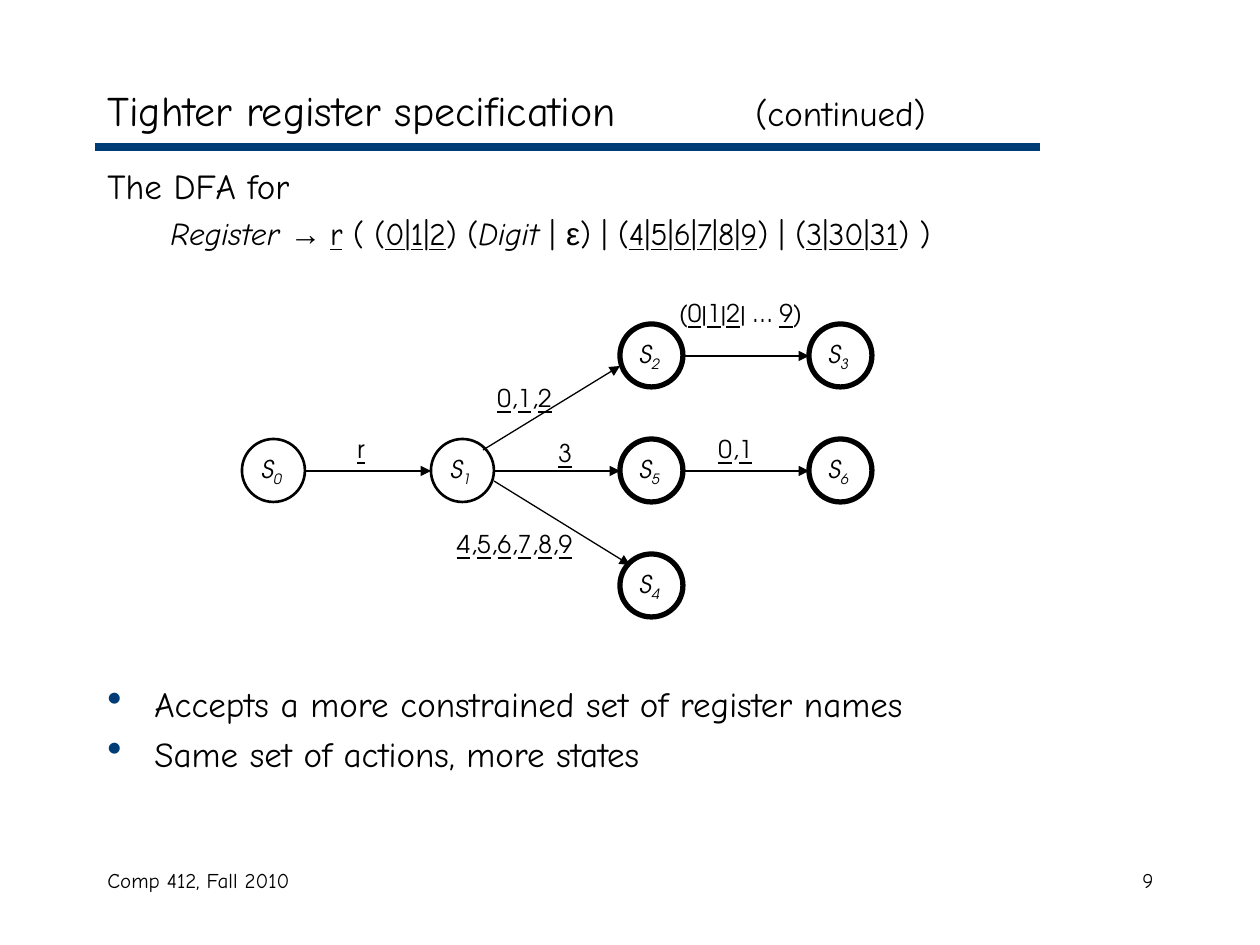
from itertools import groupby

from lxml import etree
from pptx import Presentation
from pptx import util as u
from pptx.dml.color import RGBColor
from pptx.enum import shapes, text
from pptx.oxml import ns

SCALE = 914400 / 126
BODY_FONT, GRAPH_FONT, SYMBOL_FONT = "Comic Neue", "TeX Gyre Adventor", "Arial"
BLACK, NAVY = "000000", "003C75"
LEFT, CENTER, RIGHT = text.PP_ALIGN.LEFT, text.PP_ALIGN.CENTER, text.PP_ALIGN.RIGHT

NODE, COL, ROW = 63, 189, 115
# state number: (column, row, accepting)
STATES = {0: (0, 1, False), 1: (1, 1, False), 2: (2, 0, True), 3: (3, 0, True),
          4: (2, 2, True), 5: (2, 1, True), 6: (3, 1, True)}
WEST, EAST = (0, 32), (63, 32)
# from state, point on it, to state, point on it
EDGES = [(0, EAST, 1, WEST), (1, EAST, 5, WEST), (5, EAST, 6, WEST),
         (2, EAST, 3, WEST), (1, (52, 11), 2, (0, 42)), (1, (63, 42), 4, (10, 11))]
# text, left, top, width, alignment
LABELS = [("r", 103, 104, 42, LEFT), ("0,1,2", 230, 53, 105, CENTER),
          ("3", 304, 108, 42, LEFT), ("0,1", 441, 104, 105, CENTER),
          ("4,5,6,7,8,9", 178, 199, 189, CENTER),
          ("(0|1|2| … 9)", 409, -32, 179, CENTER)]


def px(n):
    return u.Emu(round(n * SCALE))


def color(value):
    return RGBColor.from_string(value)


def add_run(p, words, size, font=BODY_FONT, italic=False, underline=False):
    r = p.add_run()
    r.text = words
    r.font.size = u.Pt(size)
    r.font.name = font
    r.font.color.rgb = color(BLACK)
    r.font.italic = italic
    r.font.underline = underline
    return r


def add_symbols(p, words, size, font=BODY_FONT):
    """Underline the input letters and digits, leaving the operators plain."""
    for is_input, chars in groupby(words, str.isalnum):
        add_run(p, "".join(chars), size, font, underline=is_input)


def add_box(s, x, y, w, h, align=LEFT, anchor=text.MSO_ANCHOR.TOP):
    tf = s.shapes.add_textbox(px(x), px(y), px(w), px(h)).text_frame
    tf.word_wrap = True
    tf.vertical_anchor = anchor
    tf.paragraphs[0].alignment = align
    return tf


def add_line(s, x1, y1, x2, y2, line_color, width, arrow=False):
    c = s.shapes.add_connector(shapes.MSO_CONNECTOR.STRAIGHT,
                               px(x1), px(y1), px(x2), px(y2))
    c.line.color.rgb = color(line_color)
    c.line.width = u.Pt(width)
    if arrow:
        etree.SubElement(c.line._get_or_add_ln(), ns.qn("a:tailEnd"), type="triangle")
    etree.SubElement(c._element.spPr, ns.qn("a:effectLst"))


def add_title(s, x, y, w, h):
    p = add_box(s, x, y, w, h, anchor=text.MSO_ANCHOR.MIDDLE).paragraphs[0]
    tabs = etree.SubElement(p._p.get_or_add_pPr(), ns.qn("a:tabLst"))
    etree.SubElement(tabs, ns.qn("a:tab"), pos=str(px(648)), algn="l")
    add_run(p, "Tighter register specification\t", 24)
    add_run(p, "(continued)", 20)
    add_line(s, x, y + 74, x + 945, y + 74, NAVY, 4.5)


def add_definition(s, x, y, w, h):
    tf = add_box(s, x, y, w, h)
    add_run(tf.paragraphs[0], "The DFA for", 20)
    p = tf.add_paragraph()
    p.space_before = u.Pt(4.5)
    p._p.get_or_add_pPr().set("marL", str(px(63)))
    add_run(p, "Register ", 18, italic=True)
    add_run(p, "→ ", 18, SYMBOL_FONT)
    add_symbols(p, "r ( (0|1|2) (", 18)
    add_run(p, "Digit", 18, italic=True)
    add_run(p, " | ", 18)
    add_run(p, "ε", 18, SYMBOL_FONT)
    add_symbols(p, ") | (4|5|6|7|8|9) | (3|30|31) )", 18)


def add_state(s, x, y, number, accepting):
    sp = s.shapes.add_shape(shapes.MSO_SHAPE.OVAL, px(x), px(y), px(NODE), px(NODE))
    sp.shadow.inherit = False
    sp.fill.background()
    sp.line.color.rgb = color(BLACK)
    sp.line.width = u.Pt(3 if accepting else 1.5)
    tf = sp.text_frame
    tf.word_wrap = False
    tf.vertical_anchor = text.MSO_ANCHOR.MIDDLE
    p = tf.paragraphs[0]
    p.alignment = CENTER
    add_run(p, "S", 14, GRAPH_FONT, italic=True)
    r = add_run(p, f"{number} ", 14, GRAPH_FONT, italic=True)
    r.font._element.set("baseline", "-25000")


def add_automaton(s, x, y):
    corners = {n: (x + col * COL, y + row * ROW) for n, (col, row, _) in STATES.items()}
    for n, (_, _, accepting) in STATES.items():
        add_state(s, *corners[n], n, accepting)
    for start, (dx1, dy1), end, (dx2, dy2) in EDGES:
        (x1, y1), (x2, y2) = corners[start], corners[end]
        add_line(s, x1 + dx1, y1 + dy1, x2 + dx2, y2 + dy2, BLACK, 0.75, arrow=True)
    for words, dx, dy, w, align in LABELS:
        p = add_box(s, x + dx, y + dy, w, 43, align).paragraphs[0]
        add_symbols(p, words, 14, GRAPH_FONT)


def add_bullets(s, x, y, w, h, items):
    tf = add_box(s, x, y, w, h)
    for i, item in enumerate(items):
        p = tf.add_paragraph() if i else tf.paragraphs[0]
        if i:
            p.space_before = u.Pt(5)
        pPr = p._p.get_or_add_pPr()
        pPr.set("marL", str(px(47)))
        pPr.set("indent", str(px(-47)))
        bullet_color = etree.SubElement(pPr, ns.qn("a:buClr"))
        etree.SubElement(bullet_color, ns.qn("a:srgbClr"), val=NAVY)
        etree.SubElement(pPr, ns.qn("a:buSzPct"), val="120000")
        etree.SubElement(pPr, ns.qn("a:buChar"), char="•")
        add_run(p, item, 20)


def add_footer(s, x, y, w, h):
    add_run(add_box(s, x, y, 400, h).paragraphs[0], "Comp 412, Fall 2010", 12)
    add_run(add_box(s, x + w - 262, y, 262, h, RIGHT).paragraphs[0], "9", 12)


def main():
    prs = Presentation()
    prs.slide_width, prs.slide_height = px(1260), px(945)
    s = prs.slides.add_slide(prs.slide_layouts[6])
    add_title(s, 95, 73, 1071, 73)
    add_definition(s, 95, 158, 1071, 110)
    add_automaton(s, 242, 324)
    add_bullets(s, 95, 676, 1071, 110, [
        "Accepts a more constrained set of register names",
        "Same set of actions, more states"])
    add_footer(s, 95, 861, 1071, 63)
    prs.save("out.pptx")


if __name__ == "__main__":
    main()
